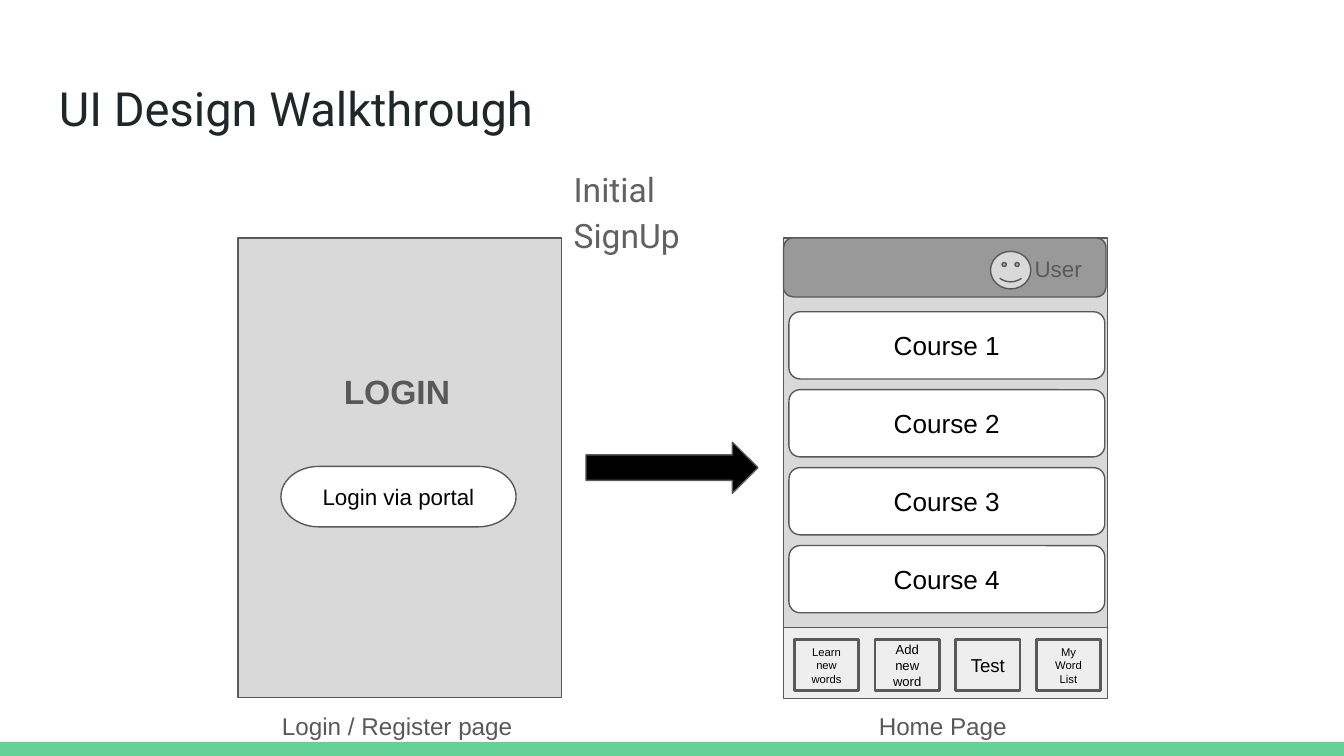
"""Build the UI design walkthrough slide: login page, arrow and home page."""
from dataclasses import dataclass
from typing import Optional

from pptx import Presentation
from pptx.dml.color import RGBColor
from pptx.enum.shapes import MSO_SHAPE
from pptx.enum.text import MSO_ANCHOR, PP_ALIGN
from pptx.util import Inches, Pt

GREY = "595959"
BLACK = "000000"
WHITE = "FFFFFF"
PANEL = "D9D9D9"
TOOLBAR = "EEEEEE"


@dataclass(frozen=True)
class Box:
    left: float
    top: float
    width: float
    height: float


@dataclass(frozen=True)
class Label:
    text: str
    size: float
    color: str = BLACK
    font: str = "Arial"
    bold: bool = False
    line_spacing: float = 1.0
    space_after: float = 0


def rgb(value: str) -> RGBColor:
    return RGBColor.from_string(value)


def write(shape, label: Label, centred: bool) -> None:
    frame = shape.text_frame
    frame.word_wrap = True
    frame.margin_left = frame.margin_right = Inches(0.1)
    frame.margin_top = frame.margin_bottom = Inches(0.1)
    frame.vertical_anchor = MSO_ANCHOR.MIDDLE if centred else MSO_ANCHOR.TOP
    paragraph = frame.paragraphs[0]
    paragraph.alignment = PP_ALIGN.CENTER if centred else PP_ALIGN.LEFT
    paragraph.line_spacing = label.line_spacing
    paragraph.space_after = Pt(label.space_after)
    run = paragraph.add_run()
    run.text = label.text
    run.font.name = label.font
    run.font.size = Pt(label.size)
    run.font.bold = label.bold
    run.font.color.rgb = rgb(label.color)


def place(box: Box) -> tuple:
    return tuple(Inches(value) for value in (box.left, box.top, box.width, box.height))


def add_text(slide, box: Box, label: Label) -> None:
    write(slide.shapes.add_textbox(*place(box)), label, centred=False)


def add_block(slide, kind: MSO_SHAPE, box: Box, fill: str,
              label: Optional[Label] = None, line: Optional[float] = 0.75) -> None:
    shape = slide.shapes.add_shape(kind, *place(box))
    shape.shadow.inherit = False
    shape.fill.solid()
    shape.fill.fore_color.rgb = rgb(fill)
    if line is None:
        shape.line.fill.background()
    else:
        shape.line.color.rgb = rgb(GREY)
        shape.line.width = Pt(line)
    if label:
        write(shape, label, centred=True)


def add_heading(slide) -> None:
    add_block(slide, MSO_SHAPE.RECTANGLE, Box(0, 5.52, 10, 0.11), "63D297", line=None)
    add_text(slide, Box(0.34, 0.49, 9.32, 0.63),
             Label("UI Design Walkthrough", 25.2, "202729", "Roboto"))
    add_text(slide, Box(4.17, 1.11, 1.6, 0.53),
             Label("Initial SignUp", 18, "616161", "Roboto", line_spacing=1.15, space_after=12))


def add_login_page(slide) -> None:
    add_block(slide, MSO_SHAPE.RECTANGLE, Box(1.77, 1.77, 2.41, 3.42), PANEL)
    add_text(slide, Box(2.46, 2.66, 1.03, 0.52), Label("LOGIN", 18, GREY, bold=True))
    add_block(slide, MSO_SHAPE.FLOWCHART_TERMINATOR, Box(2.09, 3.47, 1.75, 0.45), WHITE,
              Label("Login via portal", 12))
    add_text(slide, Box(2, 5.19, 1.94, 0.31), Label("Login / Register page", 13, GREY))


def add_home_page(slide) -> None:
    add_block(slide, MSO_SHAPE.RECTANGLE, Box(5.83, 1.77, 2.41, 3.42), PANEL)
    add_block(slide, MSO_SHAPE.FLOWCHART_ALTERNATE_PROCESS, Box(5.83, 1.77, 2.4, 0.44), "999999")
    for index in range(4):
        add_block(slide, MSO_SHAPE.ROUNDED_RECTANGLE, Box(5.87, 2.32 + 0.58 * index, 2.35, 0.5),
                  WHITE, Label(f"Course {index + 1}", 14))
    add_block(slide, MSO_SHAPE.RECTANGLE, Box(5.83, 4.67, 2.41, 0.53), TOOLBAR)
    buttons = [Label("Learn new words", 6), Label("Add new word", 7),
               Label("Test", 10), Label("My Word List", 6)]
    for index, label in enumerate(buttons):
        add_block(slide, MSO_SHAPE.RECTANGLE, Box(5.91 + 0.6 * index, 4.76, 0.48, 0.38),
                  TOOLBAR, label, line=1.5)
    add_block(slide, MSO_SHAPE.SMILEY_FACE, Box(7.37, 1.87, 0.3, 0.28), PANEL)
    add_text(slide, Box(7.6, 1.8, 0.63, 0.37), Label("User", 12, GREY))
    add_text(slide, Box(6.44, 5.19, 1.18, 0.31), Label("Home Page", 13, GREY))


def main() -> None:
    presentation = Presentation()
    presentation.slide_width = Inches(10)
    presentation.slide_height = Inches(10 * 9 / 16)
    slide = presentation.slides.add_slide(presentation.slide_layouts[6])
    add_heading(slide)
    add_login_page(slide)
    add_home_page(slide)
    add_block(slide, MSO_SHAPE.RIGHT_ARROW, Box(4.36, 3.29, 1.28, 0.38), BLACK)
    presentation.save("out.pptx")


if __name__ == "__main__":
    main()
